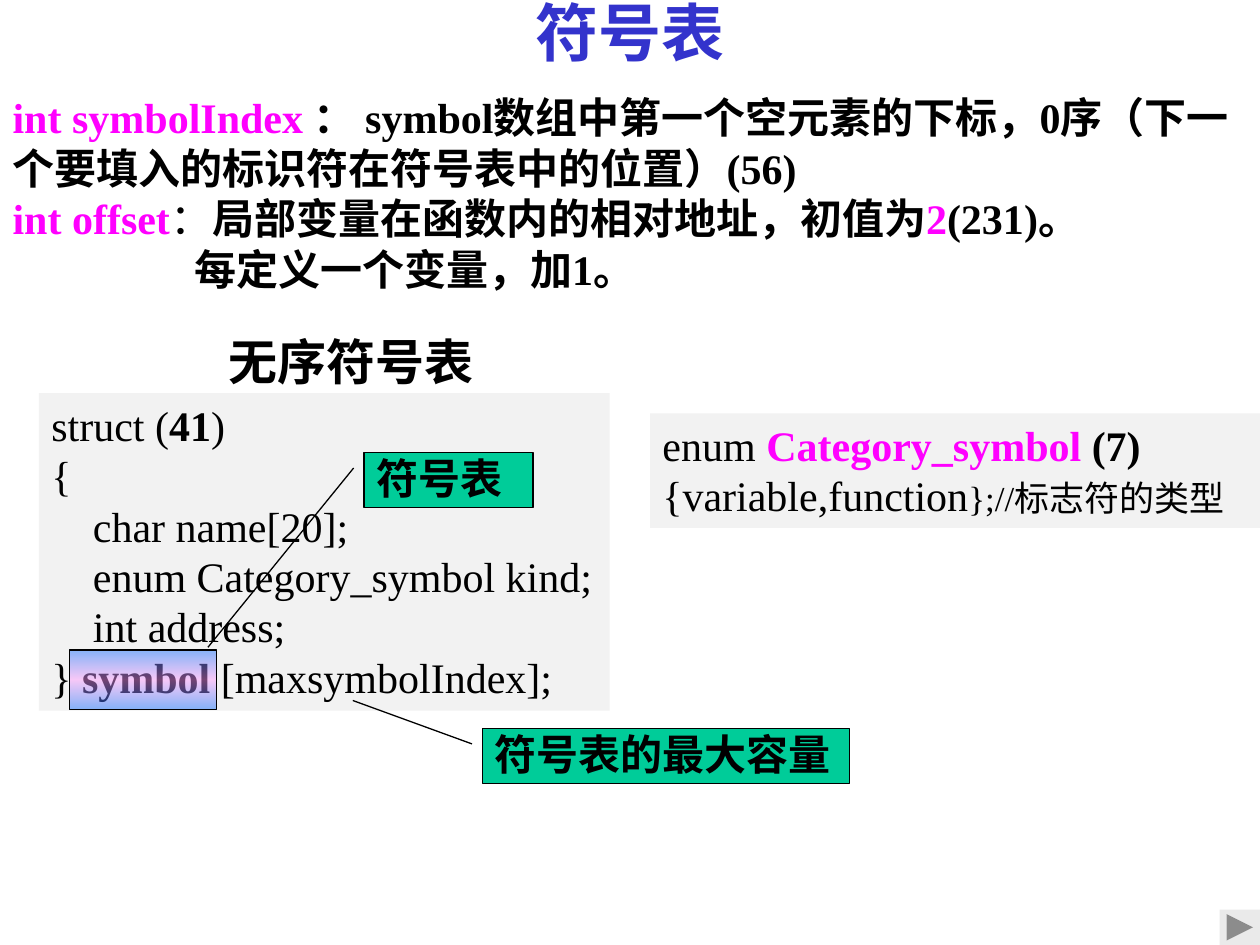
from lxml import etree
from pptx import Presentation
from pptx.dml.color import RGBColor
from pptx.enum import shapes as sh, text as tx
from pptx.oxml.ns import qn
from pptx.util import Inches, Pt

BLACK = RGBColor(0, 0, 0)
BLUE = RGBColor(0x33, 0x33, 0xCC)
PINK = RGBColor(0xFF, 0x00, 0xFF)
GREEN = RGBColor(0x00, 0xCC, 0x99)
PALE = RGBColor(0xF2, 0xF2, 0xF2)
GREY = RGBColor(0xEA, 0xEA, 0xEA)
SERIF, HAN = "Times New Roman", "Noto Sans CJK SC"
KIND = sh.MSO_SHAPE


def add_run(para, words, size=24, color=BLACK, bold=False, font=SERIF):
    """Add one formatted run, with a matching East Asian font."""
    run = para.add_run()
    run.text = words
    run.font.size, run.font.bold, run.font.name = Pt(size), bold, font
    run.font.color.rgb = color
    latin = run.font._element.find(qn("a:latin"))
    east = etree.Element(qn("a:ea"), typeface=HAN)
    latin.addnext(east)


def write(shape, paras, align=tx.PP_ALIGN.LEFT, anchor=tx.MSO_ANCHOR.TOP,
          pad=0.05, **base):
    """Fill a shape; each paragraph is (indent, [(words, format), ...])."""
    frame = shape.text_frame
    frame.word_wrap = True
    frame.auto_size = tx.MSO_AUTO_SIZE.NONE
    frame.vertical_anchor = anchor
    frame.margin_left = frame.margin_right = Inches(0.1)
    frame.margin_top = frame.margin_bottom = Inches(pad)
    for i, (indent, runs) in enumerate(paras):
        para = frame.add_paragraph() if i else frame.paragraphs[0]
        para.alignment = align
        para.space_before = Pt(0)
        props = para._p.get_or_add_pPr()
        props.set("marL", str(Inches(indent)))
        props.set("indent", "0")
        etree.SubElement(props, qn("a:buNone"))
        for words, style in runs:
            add_run(para, words, **{**base, **style})


def place(shape, *box):
    shape.left, shape.top, shape.width, shape.height = map(Inches, box)
    return shape


def add_box(slide, box, fill=None, kind=KIND.RECTANGLE, edge=False):
    shape = slide.shapes.add_shape(kind, *map(Inches, box))
    shape.shadow.inherit = False
    if fill is not None:
        shape.fill.solid()
        shape.fill.fore_color.rgb = fill
    if edge:
        shape.line.color.rgb = BLACK
        shape.line.width = Pt(0.75)
    else:
        shape.line.fill.background()
    return shape


def add_note(slide, box, words, points):
    """Green callout whose leader follows the given adjustments."""
    note = add_box(slide, box, GREEN, KIND.LINE_CALLOUT_1, edge=True)
    for i, value in enumerate(points):
        note.adjustments[i] = value
    write(note, [(0, [(words, {})])], pad=0, bold=True)


def add_glow(slide, box):
    """Frame with a see-through blue, pink, blue gradient."""
    frame = add_box(slide, box, edge=True)
    grad = etree.Element(qn("a:gradFill"), rotWithShape="1")
    stops = etree.SubElement(grad, qn("a:gsLst"))
    for pos, color in ((0, "0066FF"), (50, "FF99FF"), (100, "0066FF")):
        stop = etree.SubElement(stops, qn("a:gs"), pos=str(pos * 1000))
        tint = etree.SubElement(stop, qn("a:srgbClr"), val=color)
        etree.SubElement(tint, qn("a:alpha"), val="46000")
    etree.SubElement(grad, qn("a:lin"), ang=str(90 * 60000), scaled="1")
    frame._element.spPr.find(qn("a:prstGeom")).addnext(grad)


def main():
    deck = Presentation()
    deck.slide_width, deck.slide_height = Inches(10), Inches(7.5)
    slide = deck.slides.add_slide(deck.slide_layouts[1])
    pink, bold = {"color": PINK}, {"bold": True}

    # Title and variable list
    title = place(slide.shapes.title, 0, 0, 10, 0.5)
    write(title, [(0, [("符号表", {})])], align=tx.PP_ALIGN.CENTER,
          anchor=tx.MSO_ANCHOR.MIDDLE, size=36, color=BLUE, bold=True, font=HAN)
    body = place(slide.placeholders[1], 0, 0.68, 10, 1.72)
    write(body, [
        (0, [("int symbolIndex ", pink),
             ("： symbol数组中第一个空元素的下标，0序"
              "（下一个要填入的标识符在符号表中的位置）(56)", {})]),
        (0, [("int offset", pink), ("：", {"bold": False}),
             ("局部变量在函数内的相对地址，初值为", {}), ("2", pink),
             ("(231)。", {})]),
        (1.44, [("每定义一个变量，加1。", {})]),
    ], bold=True)

    # Struct panel with its heading
    panel = add_box(slide, (0.31, 3.12, 4.53, 2.52), PALE)
    fields = ("char name[20];", "enum Category_symbol kind;", "int address;")
    write(panel, [
        (0, [("struct (", {}), ("41", bold), (")", {})]),
        (0, [("{", {})]),
        *((0.33, [(field, {})]) for field in fields),
        (0, [("} ", {}), ("symbol ", bold), ("[maxsymbolIndex];", {})]),
    ])
    head = slide.shapes.add_textbox(*map(Inches, (1.25, 2.58, 3.07, 0.57)))
    write(head, [(0, [("无序符号表", {})])], align=tx.PP_ALIGN.CENTER,
          size=28, bold=True)

    # Callouts and the marked array name
    add_note(slide, (2.89, 3.59, 1.34, 0.44), "符号表",
             (0.283, -0.062, 3.516, -0.925))
    add_glow(slide, (0.55, 5.16, 1.17, 0.47))
    add_note(slide, (3.83, 5.78, 2.91, 0.44), "符号表的最大容量",
             (0.283, -0.029, -0.5, -0.354))

    # Enum panel
    panel = add_box(slide, (5.16, 3.28, 4.84, 0.91), PALE)
    write(panel, [(0, [
        ("enum ", {}), ("Category_symbol ", {**pink, **bold}), ("(7) ", bold),
        ("{variable,function", {}), ("};//标志符的类型", {"size": 20}),
    ])])

    # Forward button
    add_box(slide, (9.68, 7.22, 0.32, 0.28), GREY,
            KIND.ACTION_BUTTON_FORWARD_OR_NEXT)
    deck.save("out.pptx")


if __name__ == "__main__":
    main()
